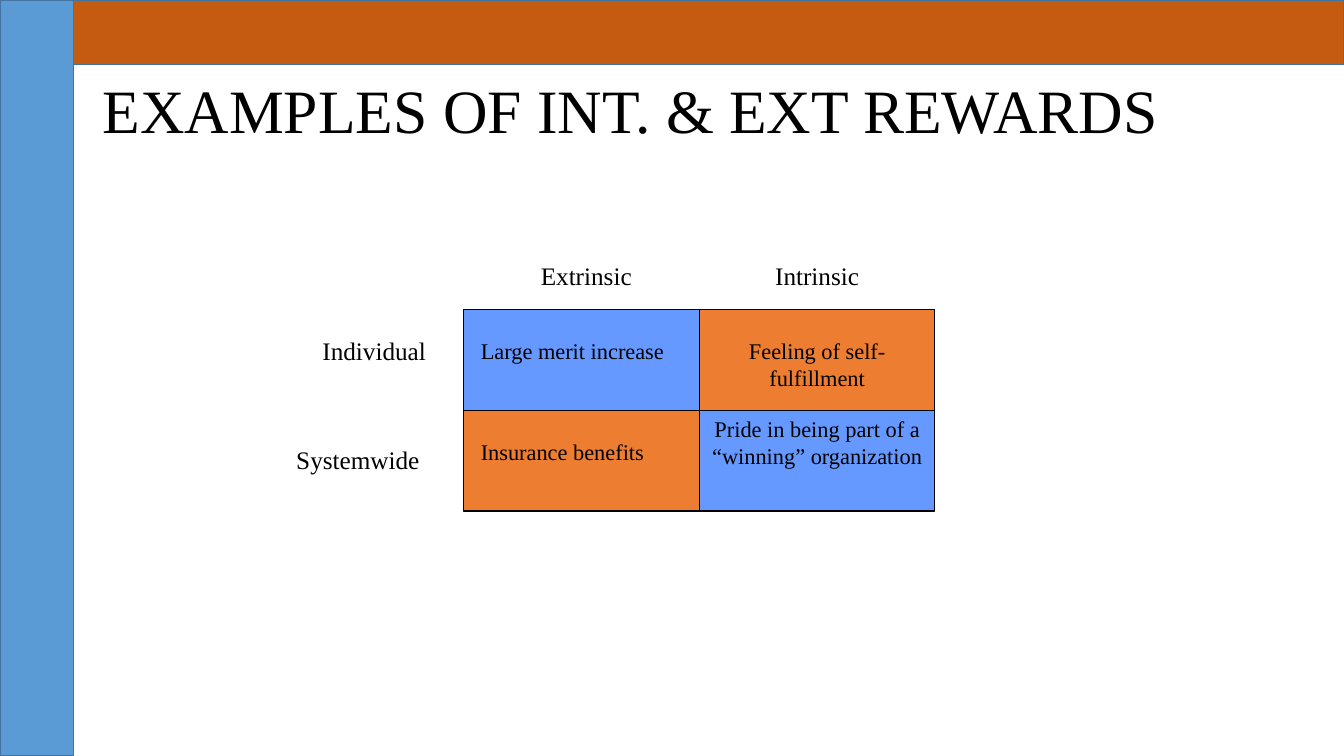
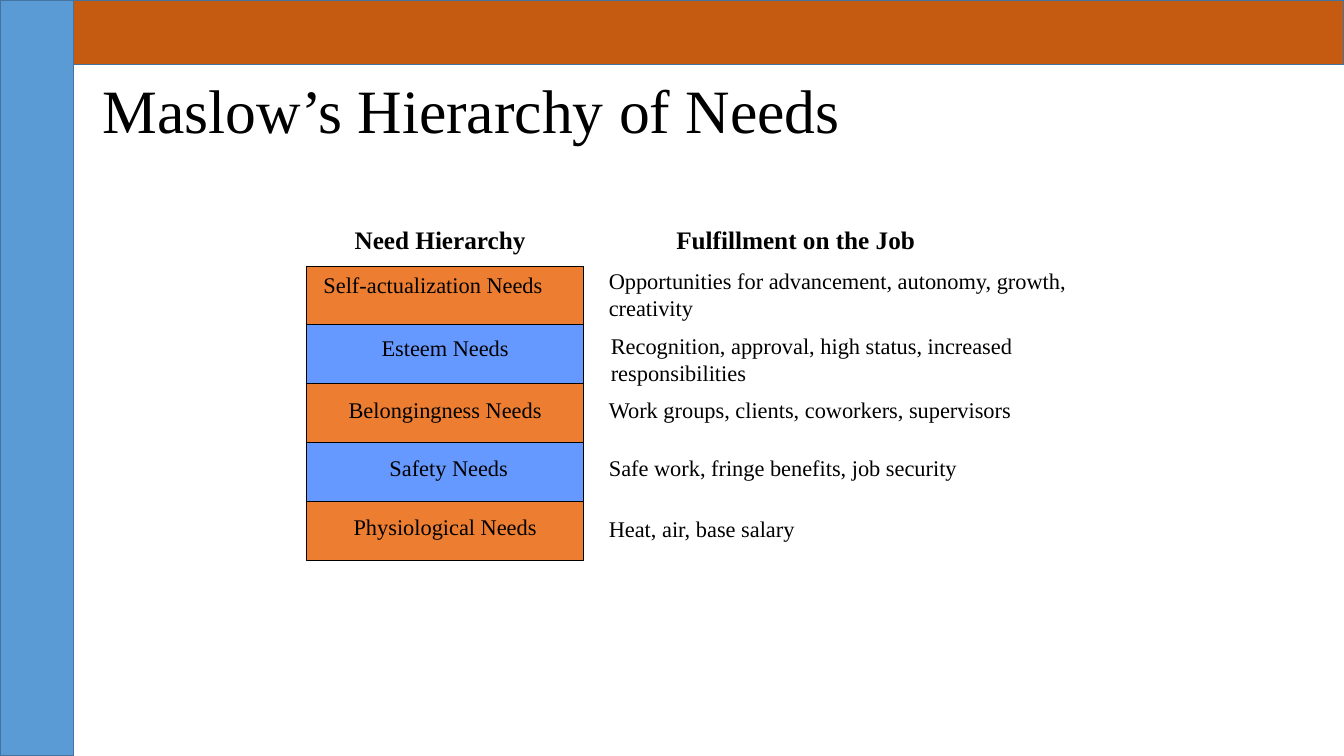
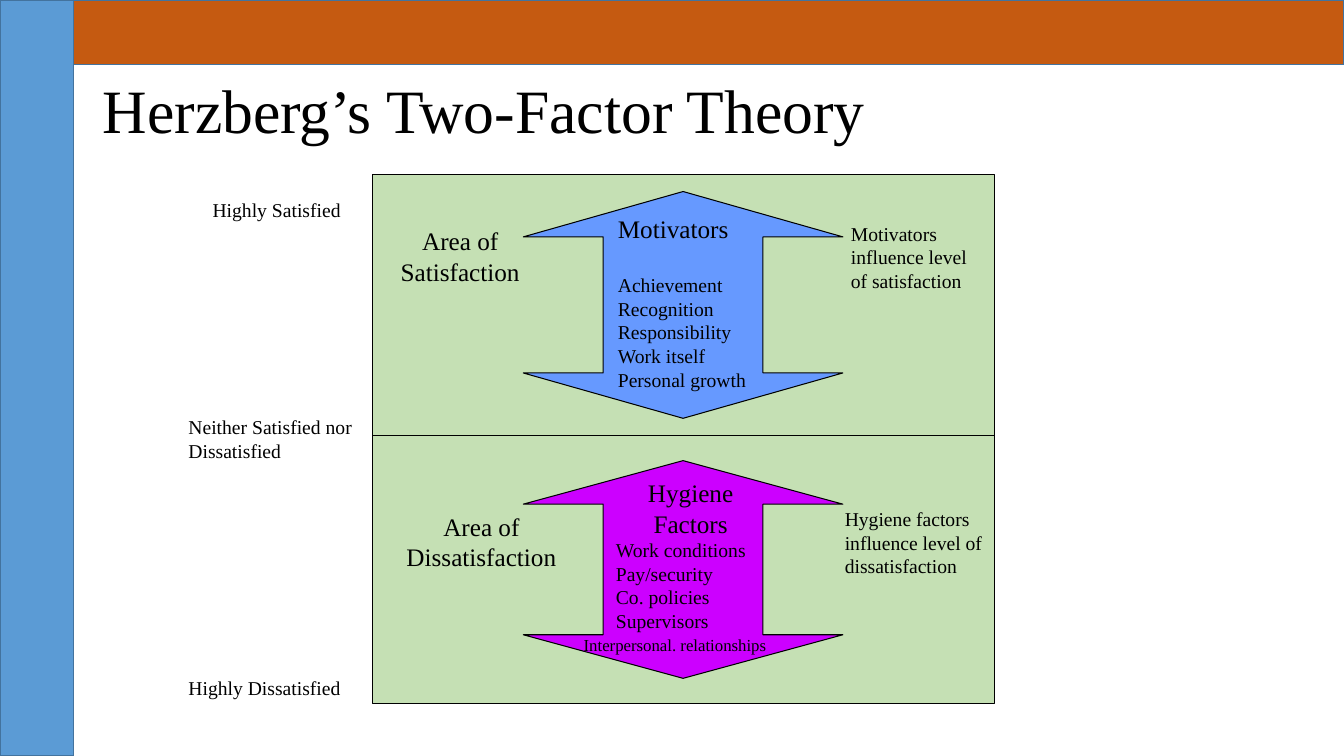
import pptx
import pptx.util
import pptx.dml.color
import pptx.enum.shapes
import pptx.enum.text
import pptx.oxml
import pptx.oxml.ns

Inches = pptx.util.Inches
SHAPES = pptx.enum.shapes.MSO_SHAPE
ALIGN = pptx.enum.text.PP_ALIGN
ANCHOR = pptx.enum.text.MSO_ANCHOR
AUTO_SIZE = pptx.enum.text.MSO_AUTO_SIZE

FONT = "Times New Roman"
BLACK, BLUE, ORANGE = "000000", "6699FF", "ED7D31"
GREEN, PURPLE = "C5E0B4", "CC00FF"
SIDE_BLUE, TOP_ORANGE, BAND_EDGE = "5B9BD5", "C55A11", "43739E"
SLIDE_WIDTH, SLIDE_HEIGHT = 13.33, 7.5
SIDE_WIDTH, TOP_HEIGHT = 0.73, 0.64
CENTER = {"align": ALIGN.CENTER}
NO_WRAP = {"wrap": False}

REWARD_TITLE = "EXAMPLES OF INT. & EXT REWARDS"
REWARD_LABELS = [
    ("Extrinsic", (4.69, 2.53, 2.25, 0.4), CENTER),
    ("Intrinsic", (6.94, 2.53, 2.33, 0.4), CENTER),
    ("Individual", (3.1, 3.28, 1.33, 0.4), {}),
    ("Systemwide", (2.84, 4.36, 1.44, 0.4), NO_WRAP),
]
REWARD_EXAMPLES = [
    ("Large merit increase", (4.67, 3.3, 2.05, 0.37), NO_WRAP),
    ("Insurance benefits", (4.67, 4.3, 1.85, 0.37), NO_WRAP),
    ("Feeling of self-fulfillment", (6.94, 3.3, 2.33, 0.64), CENTER),
    ("Pride in being part of a “winning” organization", (6.94, 4.07, 2.33, 0.64), CENTER),
]

NEED_TITLE = "Maslow’s Hierarchy of Needs"
NEED_HEADINGS = [
    ("Need Hierarchy", (2.94, 2.18, 2.85, 0.4), CENTER),
    ("Fulfillment on the Job", (6.61, 2.18, 2.59, 0.4), NO_WRAP),
]
NEEDS = [
    ("Self-actualization Needs", (3.11, 2.64, 2.59, 0.37), {}),
    ("Esteem Needs", (3.03, 3.27, 2.77, 0.37), CENTER),
    ("Belongingness Needs", (3.03, 3.88, 2.77, 0.37), CENTER),
    ("Safety Needs", (3.11, 4.46, 2.68, 0.37), CENTER),
    ("Physiological Needs", (3.03, 5.04, 2.77, 0.37), CENTER),
]
FULFILLMENTS = [
    ("Opportunities for advancement, autonomy, growth, creativity", (5.94, 2.6, 4.93, 0.64), {}),
    ("Recognition, approval, high status, increased responsibilities", (5.96, 3.25, 4.92, 0.64), {}),
    ("Work groups, clients, coworkers, supervisors", (5.94, 3.88, 4.25, 0.37), NO_WRAP),
    ("Safe work, fringe benefits, job security", (5.94, 4.46, 3.71, 0.37), NO_WRAP),
    ("Heat, air, base salary", (5.94, 5.06, 2.3, 0.37), {}),
]

FACTOR_TITLE = "Herzberg’s Two-Factor Theory"
FACTOR_ARROWS = [
    ((5.19, 1.9, 3.17, 2.25), BLUE),
    ((5.19, 4.57, 3.17, 2.16), PURPLE),
]
ARROW_PROPORTIONS = {"adj1": 50000, "adj2": 20000}
FACTOR_AREAS = [
    ("Area of Satisfaction", (3.68, 2.19, 1.77, 0.7), CENTER),
    ("Area of Dissatisfaction", (3.86, 5.02, 1.83, 0.7), CENTER),
]
FACTORS = [
    ("Motivators", (6.03, 2.07, 1.87, 1.88), {
        "items": ["Achievement", "Recognition", "Responsibility", "Work itself", "Personal growth"],
        "items_gap": 21}),
    ("Hygiene Factors", (6.01, 4.69, 1.68, 2.12), {
        "items": ["Work conditions", "Pay/security", "Co. policies", "Supervisors"],
        "align": ALIGN.CENTER}),
]
LAST_HYGIENE_FACTOR = [
    ("Interpersonal. relationships", (5.69, 6.25, 2.42, 0.3), {}),
]
FACTOR_NOTES = [
    ("Motivators influence level of satisfaction", (8.34, 2.15, 1.52, 0.81), {}),
    ("Hygiene factors influence level of dissatisfaction", (8.28, 4.98, 1.68, 0.81), {}),
    ("Highly Satisfied", (2.01, 1.91, 1.54, 0.33), NO_WRAP),
    ("Neither Satisfied nor Dissatisfied", (1.77, 4.07, 1.85, 0.57), {}),
    ("Highly Dissatisfied", (1.77, 6.66, 1.85, 0.33), {}),
]


def color(value):
    return pptx.dml.color.RGBColor.from_string(value)


def add_text(slide, text, box, size=16, bold=False, align=ALIGN.LEFT, wrap=True,
             anchor=ANCHOR.TOP, spacing=None, fit=True, items=(), items_gap=0):
    frame = slide.shapes.add_textbox(*map(Inches, box)).text_frame
    frame.word_wrap = wrap
    frame.auto_size = AUTO_SIZE.SHAPE_TO_FIT_TEXT if fit else AUTO_SIZE.NONE
    frame.vertical_anchor = anchor
    for index, line in enumerate([text, *items]):
        paragraph = frame.add_paragraph() if index else frame.paragraphs[0]
        paragraph.alignment = ALIGN.LEFT if index else align
        if spacing:
            paragraph.line_spacing = spacing
        if index == 1 and items_gap:
            paragraph.space_before = pptx.util.Pt(items_gap)
        run = paragraph.add_run()
        run.text = line
        run.font.name = FONT
        run.font.size = pptx.util.Pt(14 if index else size)
        run.font.bold = bold
        run.font.color.rgb = color(BLACK)


def add_texts(slide, entries, **shared):
    for text, box, extra in entries:
        add_text(slide, text, box, **shared, **extra)


def add_block(slide, box, fill, edge=BLACK, edge_width=0.75, kind=SHAPES.RECTANGLE):
    block = slide.shapes.add_shape(kind, *map(Inches, box))
    block.shadow.inherit = False
    block.fill.solid()
    block.fill.fore_color.rgb = color(fill)
    block.line.color.rgb = color(edge)
    block.line.width = pptx.util.Pt(edge_width)
    return block


def add_arrow(slide, box, fill):
    arrow = add_block(slide, box, fill, kind=SHAPES.UP_DOWN_ARROW)
    proportions = arrow.element.find(".//" + pptx.oxml.ns.qn("a:avLst"))
    for guide in list(proportions):
        proportions.remove(guide)
    for name, value in ARROW_PROPORTIONS.items():
        proportions.append(pptx.oxml.parse_xml(
            f'<a:gd {pptx.oxml.ns.nsdecls("a")} name="{name}" fmla="val {value}"/>'))


def add_grid(slide, left, top, width, height, columns, rows):
    cell_width, cell_height = width / columns, height / rows
    for row in range(rows):
        for column in range(columns):
            fill = (BLUE, ORANGE)[(row + column + rows) % 2]
            add_block(slide, (left + column * cell_width, top + row * cell_height,
                              cell_width, cell_height), fill)


def add_divider(slide, left, right, y):
    divider = slide.shapes.add_connector(
        pptx.enum.shapes.MSO_CONNECTOR.STRAIGHT, *map(Inches, (left, y, right, y)))
    divider.line.color.rgb = color(BLACK)
    divider.line.width = pptx.util.Pt(0.75)
    properties = divider.element.find(pptx.oxml.ns.qn("p:spPr"))
    properties.append(pptx.oxml.parse_xml(f'<a:effectLst {pptx.oxml.ns.nsdecls("a")}/>'))


def add_slide(deck, title):
    slide = deck.slides.add_slide(deck.slide_layouts[6])
    add_text(slide, title, (0.92, 0.4, 11.5, 1.45), size=44,
             anchor=ANCHOR.MIDDLE, spacing=0.9, fit=False)
    add_block(slide, (0, 0, SIDE_WIDTH, SLIDE_HEIGHT), SIDE_BLUE, BAND_EDGE, 1)
    add_block(slide, (SIDE_WIDTH, 0, SLIDE_WIDTH - SIDE_WIDTH, TOP_HEIGHT),
              TOP_ORANGE, BAND_EDGE, 1)
    return slide


def build_rewards(deck):
    slide = add_slide(deck, REWARD_TITLE)
    add_grid(slide, 4.6, 3.07, 4.67, 2, columns=2, rows=2)
    add_texts(slide, REWARD_LABELS, size=18)
    add_texts(slide, REWARD_EXAMPLES)


def build_needs(deck):
    slide = add_slide(deck, NEED_TITLE)
    add_grid(slide, 3.04, 2.64, 2.75, 2.92, columns=1, rows=len(NEEDS))
    add_texts(slide, NEED_HEADINGS, size=18, bold=True)
    add_texts(slide, NEEDS + FULFILLMENTS)


def build_factors(deck):
    slide = add_slide(deck, FACTOR_TITLE)
    add_block(slide, (3.69, 1.73, 6.17, 5.25), GREEN)
    for box, fill in FACTOR_ARROWS:
        add_arrow(slide, box, fill)
    add_divider(slide, 3.69, 9.86, 4.32)
    add_texts(slide, FACTOR_AREAS + FACTORS, size=18)
    add_texts(slide, LAST_HYGIENE_FACTOR, size=12)
    add_texts(slide, FACTOR_NOTES, size=14)


def main():
    deck = pptx.Presentation()
    deck.slide_width = Inches(SLIDE_WIDTH)
    deck.slide_height = Inches(SLIDE_HEIGHT)
    build_rewards(deck)
    build_needs(deck)
    build_factors(deck)
    deck.save("out.pptx")


if __name__ == "__main__":
    main()
